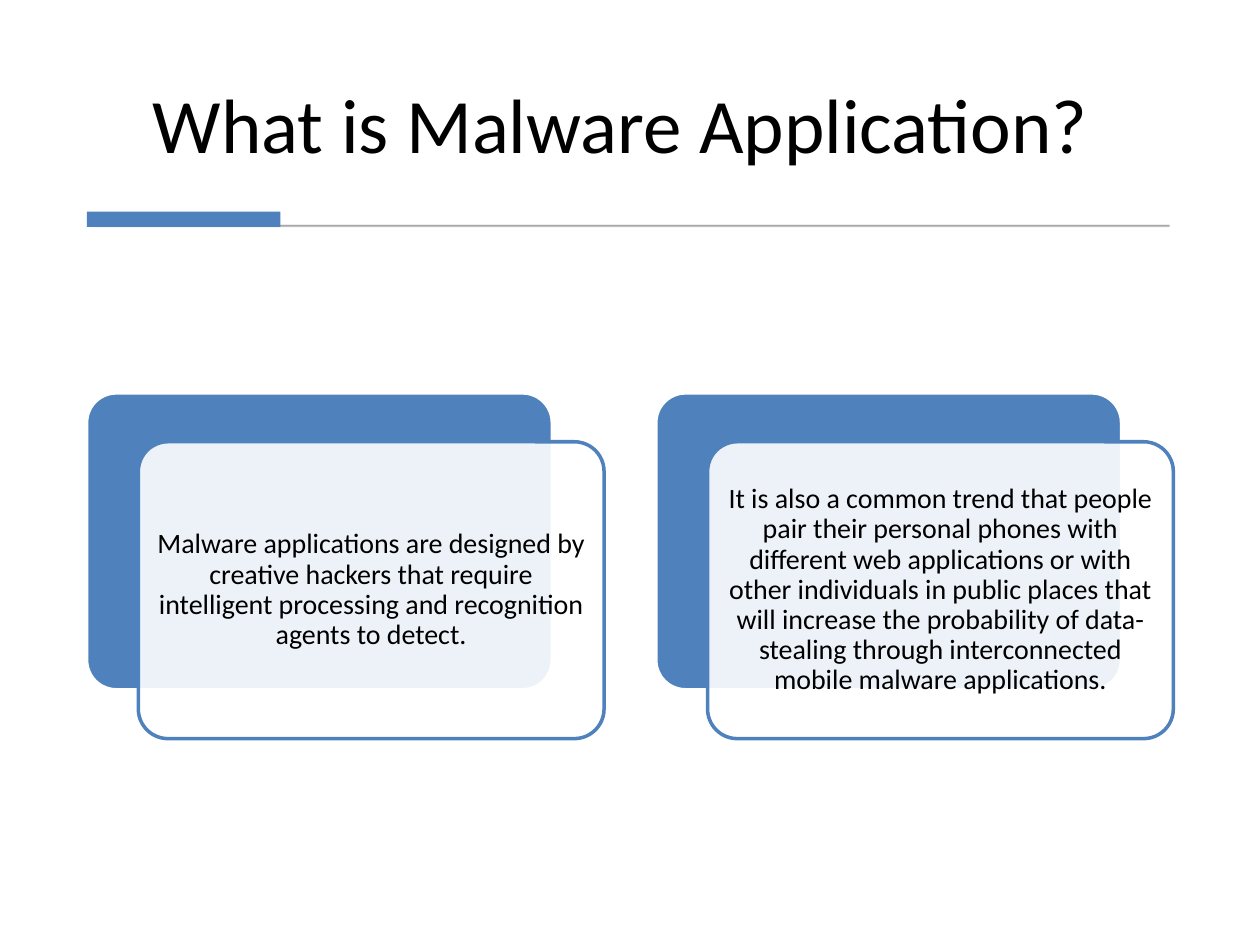
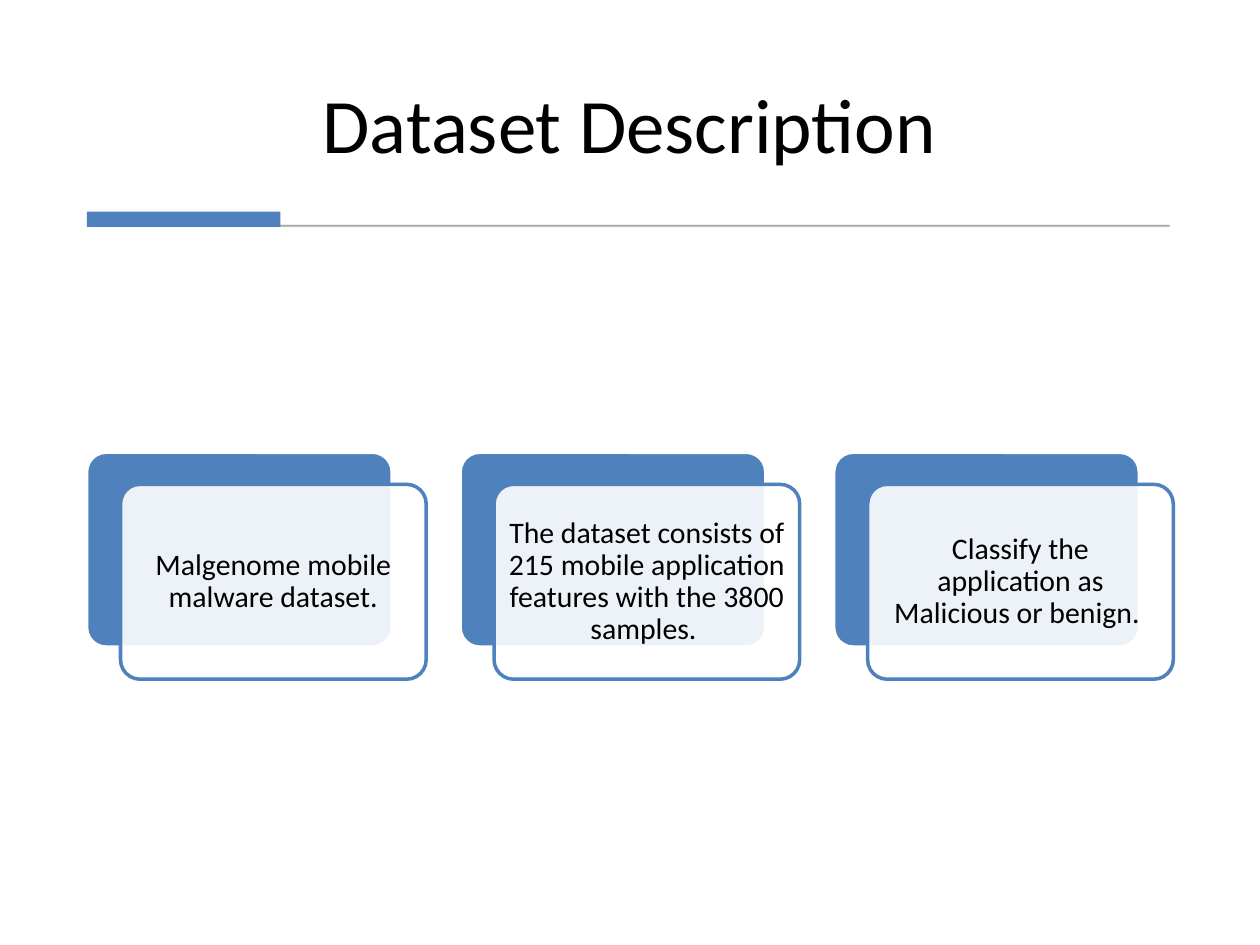
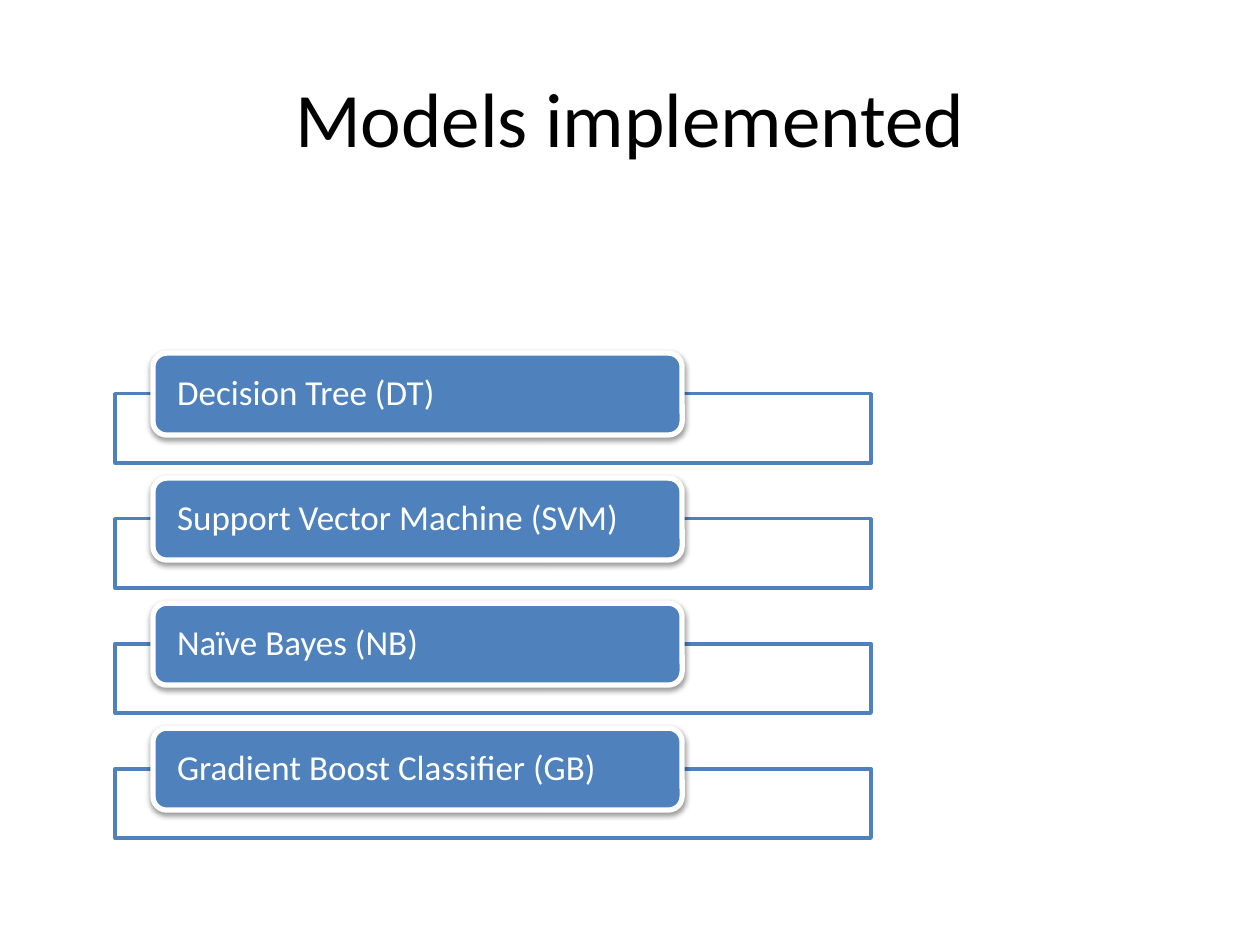
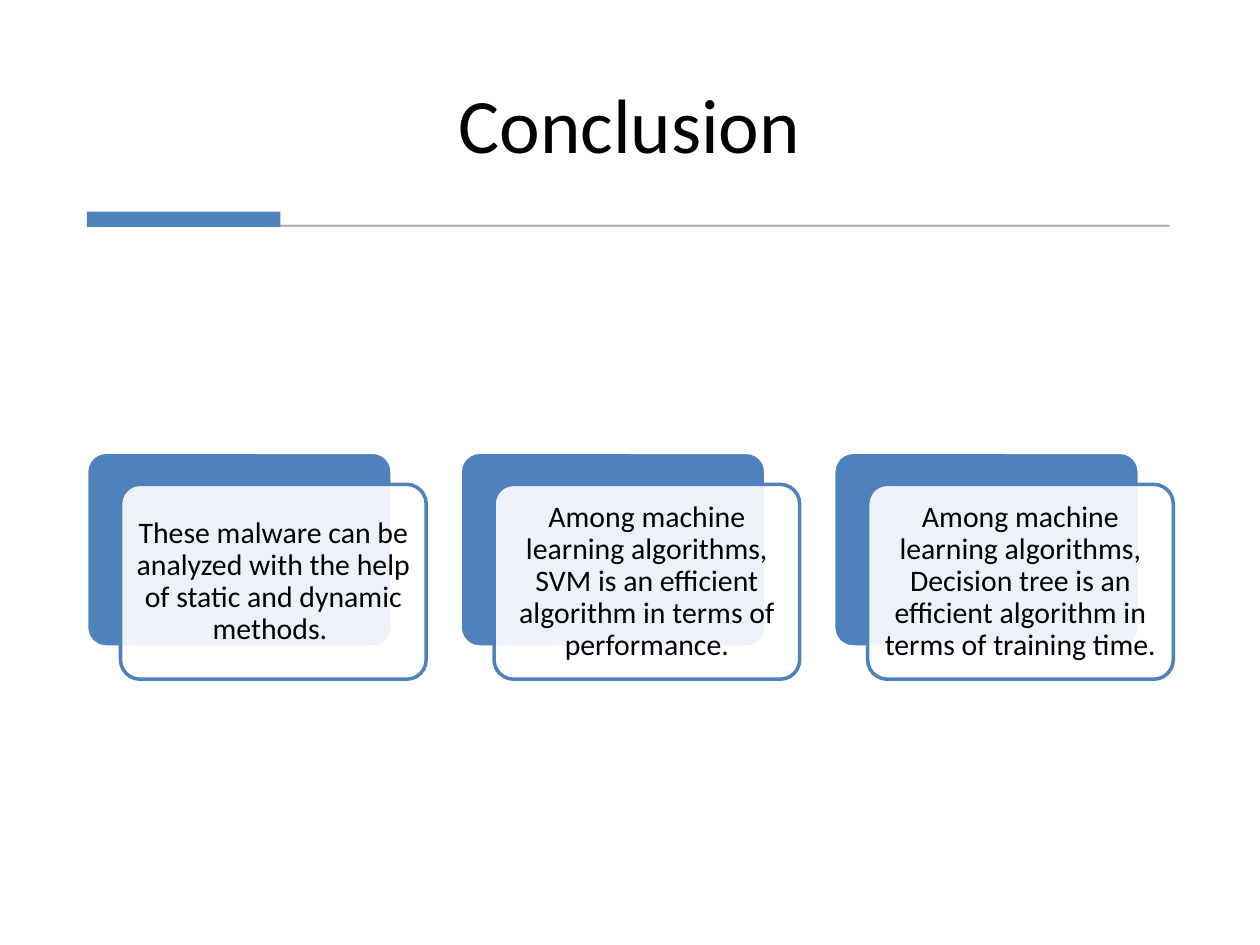
"""Build a four-slide deck on detecting mobile malware."""
from dataclasses import dataclass
from typing import NamedTuple, Optional

from lxml.etree import SubElement
from pptx import Presentation
from pptx.dml.color import RGBColor
from pptx.dml.fill import FillFormat
from pptx.enum.shapes import MSO_SHAPE
from pptx.enum.text import MSO_ANCHOR, PP_ALIGN
from pptx.oxml.ns import qn
from pptx.shapes.autoshape import Shape
from pptx.slide import Slide
from pptx.text.text import TextFrame
from pptx.util import Emu, Inches, Pt

WIDTH, HEIGHT = Inches(10), Inches(7.5)
TITLE_ONLY = 5


@dataclass(frozen=True)
class Theme:
    """Colours, font and type sizes of the deck."""
    font: str = "Calibri"
    accent: str = "4F81BD"
    paper: str = "FFFFFF"
    ink: str = "000000"
    rule: str = "595959"
    title: int = 44
    label: int = 20
    card_large: int = 17
    card_small: int = 16


class Box(NamedTuple):
    """A place in percent of the slide's width and height."""
    x: float
    y: float
    w: float
    h: float

    def shifted(self, dx: float = 0, dy: float = 0) -> "Box":
        """Return the box moved by the given shares."""
        return self._replace(x=self.x + dx, y=self.y + dy)

    def place(self) -> tuple[Emu, Emu, Emu, Emu]:
        """Return left, top, width and height as lengths."""
        return (Emu(round(self.x * WIDTH / 100)), Emu(round(self.y * HEIGHT / 100)),
                Emu(round(self.w * WIDTH / 100)), Emu(round(self.h * HEIGHT / 100)))


class Look(NamedTuple):
    """Outline form, fill and line of a shape."""
    form: MSO_SHAPE
    fill: str
    line: Optional[str] = None
    weight: float = 2
    fill_alpha: int = 100
    line_alpha: int = 100
    corner: Optional[float] = None


class Type(NamedTuple):
    """Size, colour, alignment and side and top insets of a text."""
    size: float
    color: str
    align: PP_ALIGN
    side: float
    top: float


class CardSlide(NamedTuple):
    """A titled slide with a row of layered cards."""
    title: str
    size: int
    cards: tuple[str, ...]


THEME = Theme()
ROUND = MSO_SHAPE.ROUNDED_RECTANGLE
RECT = MSO_SHAPE.RECTANGLE

RULE = Look(RECT, THEME.rule, THEME.rule, 0.75, 30, 30)
BAR = Look(RECT, THEME.accent)
CARD_BACK = Look(ROUND, THEME.accent, THEME.paper, corner=0.1)
CARD_FRONT = Look(ROUND, THEME.paper, THEME.accent, fill_alpha=90, corner=0.1)
FRAME = Look(RECT, THEME.paper, THEME.accent, fill_alpha=90)
LABEL = Look(ROUND, THEME.accent, THEME.paper, 3)

RULED_TITLE = Box(6.87, 3.73, 86.2, 14.8)
PLAIN_TITLE = Box(5, 4, 90, 16.67)
RULE_BOX = Box(7.1, 23.83, 85.7, 0.13)
BAR_BOX = Box(6.9, 22.4, 15.36, 1.6)

CARDS_LEFT, CARDS_WIDTH, CARDS_MIDDLE = 6.87, 86.25, 59.87
CARD_HEIGHT, CARD_DROP = 0.85, 0.14

FRAME_BOX = Box(9.14, 41.67, 60, 7.33)
LABEL_BOX = Box(12.14, 37.37, 42, 8.67)
MODEL_PITCH = 13.23

INTRO = CardSlide("What is Malware Application? ", THEME.card_small, (
    "Malware applications are designed by creative hackers that require "
    "intelligent processing and recognition agents to detect.",
    "It is also a common trend that people pair their personal phones with "
    "different web applications or with other individuals in public places "
    "that will increase the probability of data-stealing through "
    "interconnected mobile malware applications.",
))
DATASET = CardSlide("Dataset Description", THEME.card_large, (
    "Malgenome mobile malware dataset.",
    "The dataset consists of 215 mobile application features with the 3800 samples. ",
    "Classify the application as Malicious or benign. ",
))
CONCLUSION = CardSlide("Conclusion", THEME.card_large, (
    "These malware can be analyzed with the help of static and dynamic methods. ",
    "Among machine learning algorithms, SVM is an efficient algorithm in terms "
    "of performance.",
    "Among machine learning algorithms, Decision tree is an efficient algorithm "
    "in terms of training time.",
))
MODELS = ("Decision Tree (DT)", "Support Vector Machine (SVM)",
          "Naïve Bayes (NB)", "Gradient Boost Classifier (GB)")


def paint(fill: FillFormat, color: str, alpha: int) -> None:
    """Fill solidly with a colour at an opacity in percent."""
    fill.solid()
    fill.fore_color.rgb = RGBColor.from_string(color)
    if alpha < 100:
        clr = fill._xPr.find(qn("a:solidFill")).find(qn("a:srgbClr"))
        SubElement(clr, qn("a:alpha"), val=str(alpha * 1000))


def add_box(s: Slide, box: Box, look: Look) -> Shape:
    """Draw one preset shape."""
    sp = s.shapes.add_shape(look.form, *box.place())
    sp.shadow.inherit = False
    if look.corner is not None:
        sp.adjustments[0] = look.corner
    paint(sp.fill, look.fill, look.fill_alpha)
    if look.line is None:
        sp.line.fill.background()
    else:
        sp.line.width = Pt(look.weight)
        paint(sp.line.fill, look.line, look.line_alpha)
    return sp


def add_shadow(sp: Shape) -> None:
    """Cast a soft shadow straight down."""
    effects = sp._element.spPr.find(qn("a:effectLst"))
    shadow = SubElement(effects, qn("a:outerShdw"), blurRad=str(Pt(3.1)),
                        dist=str(Pt(1.6)), dir="5400000", rotWithShape="0")
    clr = SubElement(shadow, qn("a:srgbClr"), val=THEME.ink)
    SubElement(clr, qn("a:alpha"), val="38000")


def write(tf: TextFrame, text: str, size: float, color: str, align: PP_ALIGN) -> None:
    """Set a single paragraph and format its run."""
    tf.text = text
    p = tf.paragraphs[0]
    p.alignment = align
    font = p.runs[0].font
    font.name, font.size = THEME.font, Pt(size)
    font.color.rgb = RGBColor.from_string(color)


def label(sp: Shape, text: str, style: Type) -> None:
    """Write inside a shape, centred vertically."""
    tf = sp.text_frame
    write(tf, text, style.size, style.color, style.align)
    tf.word_wrap = True
    tf.vertical_anchor = MSO_ANCHOR.MIDDLE
    tf.margin_left = tf.margin_right = Inches(style.side)
    tf.margin_top = tf.margin_bottom = Inches(style.top)
    tf.paragraphs[0].line_spacing = 0.9


def add_titled_slide(prs: Presentation, title: str, box: Box, anchor: MSO_ANCHOR) -> Slide:
    """Add a title-only slide and format its title."""
    s = prs.slides.add_slide(prs.slide_layouts[TITLE_ONLY])
    sp = s.shapes.title
    sp.left, sp.top, sp.width, sp.height = box.place()
    write(sp.text_frame, title, THEME.title, THEME.ink, PP_ALIGN.CENTER)
    sp.text_frame.vertical_anchor = anchor
    return s


def add_card_slide(prs: Presentation, content: CardSlide) -> None:
    """Add a ruled title and a row of layered cards filling the content width."""
    s = add_titled_slide(prs, content.title, RULED_TITLE, MSO_ANCHOR.BOTTOM)
    add_box(s, RULE_BOX, RULE)
    add_box(s, BAR_BOX, BAR)
    step = CARDS_WIDTH / (11 * len(content.cards) - 1)
    w = 9 * step
    top = CARDS_MIDDLE - w * (CARD_HEIGHT + CARD_DROP) / 2
    style = Type(content.size, THEME.ink, PP_ALIGN.CENTER, 0.07, 0.07)
    for i, text in enumerate(content.cards):
        back = Box(CARDS_LEFT + 11 * step * i, top, w, w * CARD_HEIGHT)
        add_box(s, back, CARD_BACK)
        front = add_box(s, back.shifted(step, w * CARD_DROP), CARD_FRONT)
        label(front, text, style)


def add_model_slide(prs: Presentation) -> None:
    """Add the list of models, each a label over a frame."""
    s = add_titled_slide(prs, "Models implemented", PLAIN_TITLE, MSO_ANCHOR.MIDDLE)
    style = Type(THEME.label, THEME.paper, PP_ALIGN.LEFT, 0.16, 0)
    for i, model in enumerate(MODELS):
        dy = i * MODEL_PITCH
        add_box(s, FRAME_BOX.shifted(dy=dy), FRAME)
        sp = add_box(s, LABEL_BOX.shifted(dy=dy), LABEL)
        add_shadow(sp)
        label(sp, model, style)


def main() -> None:
    """Build and save the deck."""
    prs = Presentation()
    prs.slide_width, prs.slide_height = WIDTH, HEIGHT
    add_card_slide(prs, INTRO)
    add_card_slide(prs, DATASET)
    add_model_slide(prs)
    add_card_slide(prs, CONCLUSION)
    prs.save("out.pptx")


if __name__ == "__main__":
    main()
